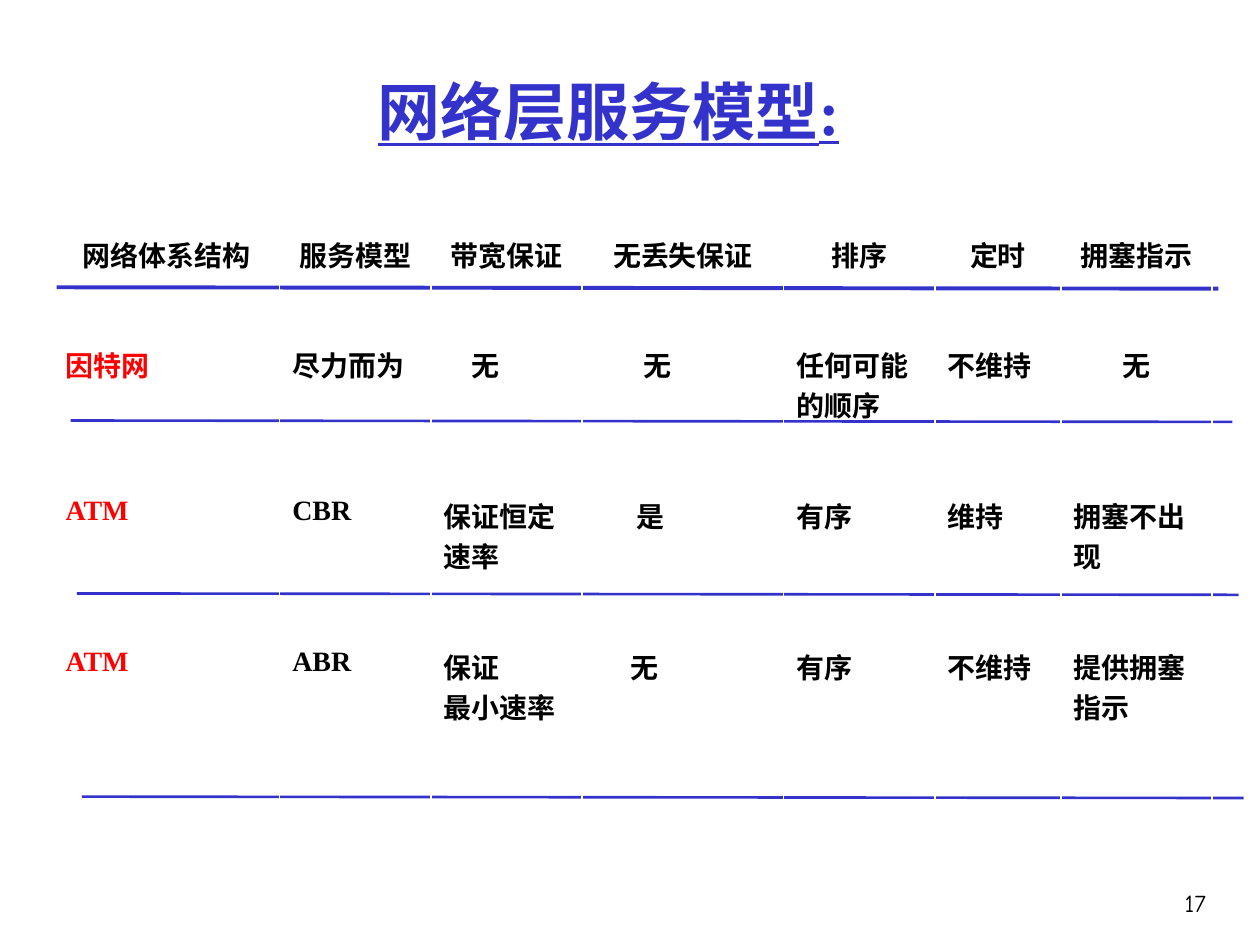
from lxml import etree
from pptx import Presentation
from pptx.dml.color import RGBColor
from pptx.enum.shapes import MSO_CONNECTOR
from pptx.enum.text import MSO_ANCHOR, PP_ALIGN
from pptx.oxml.ns import qn
from pptx.util import Inches, Pt

LEFT, CENTER, RIGHT = PP_ALIGN.LEFT, PP_ALIGN.CENTER, PP_ALIGN.RIGHT
TOP, MIDDLE = MSO_ANCHOR.TOP, MSO_ANCHOR.MIDDLE
STRAIGHT = MSO_CONNECTOR.STRAIGHT

BLUE = RGBColor(0x33, 0x33, 0xCC)
RED = RGBColor(0xFF, 0x00, 0x00)
BLACK = RGBColor(0x00, 0x00, 0x00)

SLIDE_WIDTH, SLIDE_HEIGHT = Inches(10), Inches(7.5)

TITLE_FORMAT = {"name": "Times New Roman", "size": Pt(36), "bold": True, "underline": True}
CELL_FORMAT = {"name": "Times New Roman", "size": Pt(16), "bold": True}
NUMBER_FORMAT = {"name": "Comic Neue", "size": Pt(14)}

COLUMN_SHARES = [18, 12, 12, 16, 12, 10, 12]
ROW_SHARES = [11.6, 16, 16, 22.67]
SERVICE_MODELS = [
    ["网络体系结构", "服务模型", "带宽保证", "无丢失保证", "排序", "定时", "拥塞指示"],
    ["因特网", "尽力而为", "无", "无", "任何可能的顺序", "不维持", "无"],
    ["ATM", "CBR", "保证恒定\n速率", "是", "有序", "维持", "拥塞不出现"],
    ["ATM", "ABR", "保证\n最小速率", "无", "有序", "不维持", "提供拥塞指示"],
]
INDENT_SHARES = {(1, 2): 2.2, (1, 3): 3.9, (1, 6): 3.9, (2, 3): 3.3, (3, 3): 2.8}

RULE_LENGTH, RULE_DROP = 92.2, 0.15
RULES = [(4.5, 30.4, 2.25), (5.6, 44.5, 1.5), (6.1, 62.8, 1.5), (6.5, 84.3, 1.5)]


def across(share):
    """Turn a percentage of the slide's width into a length."""
    return int(SLIDE_WIDTH * share / 100)


def down(share):
    """Turn a percentage of the slide's height into a length."""
    return int(SLIDE_HEIGHT * share / 100)


def write_text(text_frame, text, text_format, color, alignment):
    """Write one paragraph for each line of text in the given format."""
    text_frame.text = text
    text_frame.word_wrap = True
    for paragraph in text_frame.paragraphs:
        paragraph.alignment = alignment
        for run in paragraph.runs:
            for name, value in text_format.items():
                setattr(run.font, name, value)
            run.font.color.rgb = color


def add_label(slide, area, text, text_format, color, alignment, anchor):
    """Add a text box whose area is given in shares of the slide."""
    left, top, width, height = area
    shape = slide.shapes.add_textbox(across(left), down(top), across(width), down(height))
    shape.text_frame.vertical_anchor = anchor
    write_text(shape.text_frame, text, text_format, color, alignment)


def add_rule(slide, left, top, weight):
    """Add a rule that falls slightly from left to right."""
    rule = slide.shapes.add_connector(
        STRAIGHT, across(left), down(top), across(left + RULE_LENGTH), down(top + RULE_DROP)
    )
    rule.line.color.rgb = BLUE
    rule.line.width = Pt(weight)
    etree.SubElement(rule._element.spPr, qn("a:effectLst"))


def add_service_table(slide, left, top):
    """Add the unfilled table that compares the service models."""
    shape = slide.shapes.add_table(
        len(ROW_SHARES), len(COLUMN_SHARES), across(left), down(top),
        across(sum(COLUMN_SHARES)), down(sum(ROW_SHARES)),
    )
    table = shape.table
    table.first_row = table.horz_banding = False
    for column, share in zip(table.columns, COLUMN_SHARES):
        column.width = across(share)
    for row, share in zip(table.rows, ROW_SHARES):
        row.height = down(share)
    for row_index, texts in enumerate(SERVICE_MODELS):
        for column_index, text in enumerate(texts):
            cell = table.cell(row_index, column_index)
            cell.fill.background()
            indent = INDENT_SHARES.get((row_index, column_index), 0)
            cell.margin_left = across(1 + indent)
            is_header = row_index == 0
            color = RED if column_index == 0 and not is_header else BLACK
            write_text(cell.text_frame, text, CELL_FORMAT, color, CENTER if is_header else LEFT)


def main():
    """Build the slide and save it."""
    presentation = Presentation()
    presentation.slide_width, presentation.slide_height = SLIDE_WIDTH, SLIDE_HEIGHT
    slide = presentation.slides.add_slide(presentation.slide_layouts[6])
    add_label(slide, (89.3, 93.33, 7.4, 6.67), "17", NUMBER_FORMAT, BLACK, RIGHT, TOP)
    add_label(slide, (5.8, 3.33, 85, 16.67), "网络层服务模型:", TITLE_FORMAT, BLUE, CENTER, MIDDLE)
    for left, top, weight in RULES:
        add_rule(slide, left, top, weight)
    add_service_table(slide, 4.2, 24.13)
    presentation.save("out.pptx")


if __name__ == "__main__":
    main()
